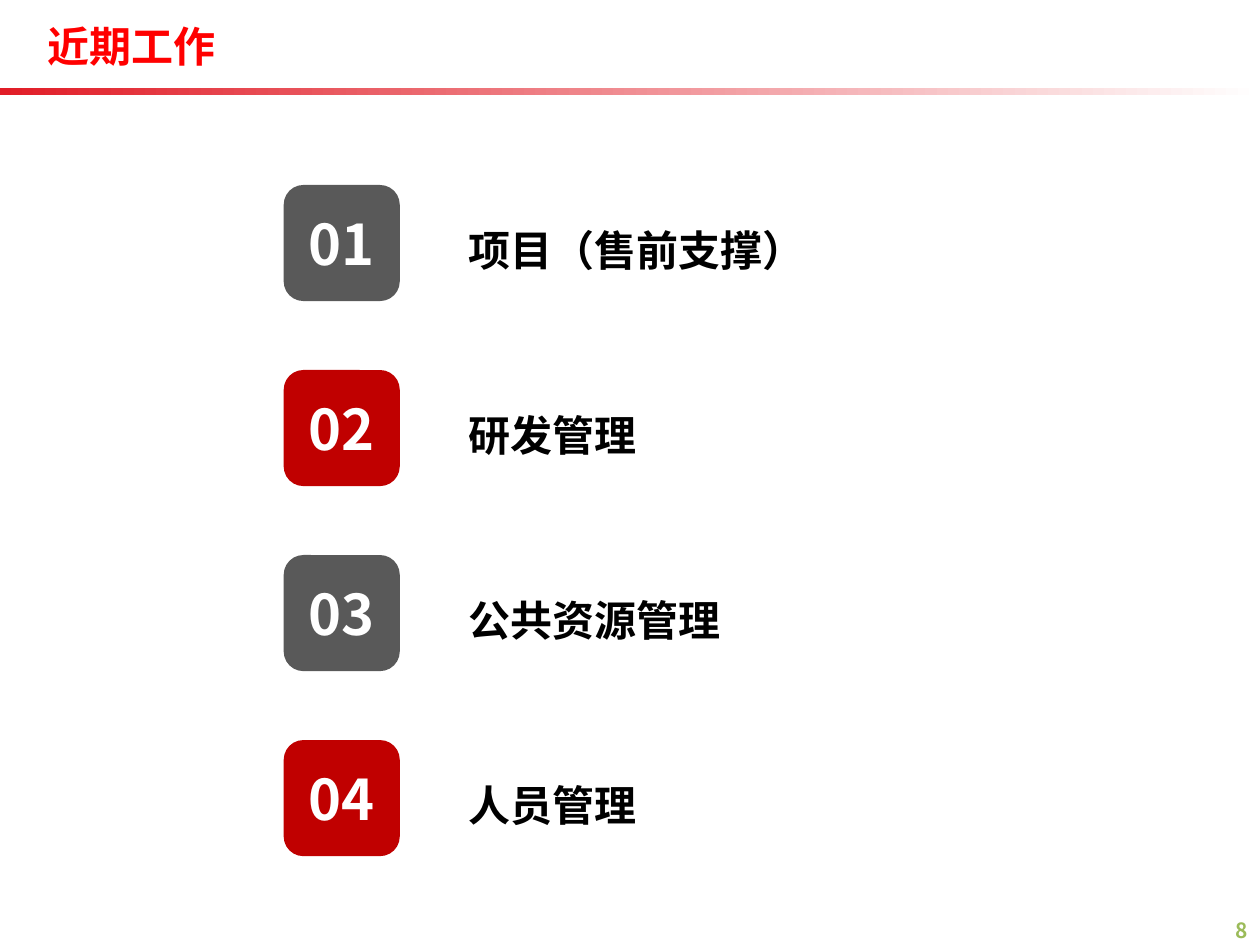
from lxml import etree
from pptx import Presentation
from pptx.dml.color import RGBColor
from pptx.enum.shapes import MSO_SHAPE
from pptx.enum.text import MSO_ANCHOR, MSO_AUTO_SIZE, PP_ALIGN
from pptx.oxml.ns import qn
from pptx.util import Cm, Pt

RECT, ROUNDED = MSO_SHAPE.RECTANGLE, MSO_SHAPE.ROUNDED_RECTANGLE
TOP, MIDDLE = MSO_ANCHOR.TOP, MSO_ANCHOR.MIDDLE
LEFT, CENTER, RIGHT = PP_ALIGN.LEFT, PP_ALIGN.CENTER, PP_ALIGN.RIGHT

FONT = "Noto Sans CJK SC"
RED = RGBColor(0xFF, 0x00, 0x00)
DARK_RED = RGBColor(0xC0, 0x00, 0x00)
RULE_RED = RGBColor(0xE1, 0x1D, 0x27)
GRAY = RGBColor(0x59, 0x59, 0x59)
GREEN = RGBColor(0x9B, 0xBB, 0x59)
BLACK = RGBColor(0, 0, 0)
WHITE = RGBColor(0xFF, 0xFF, 0xFF)

# Content
TITLE = "近期工作"
TOPICS = ["项目（售前支撑）", "研发管理", "公共资源管理", "人员管理"]
PAGE = "8"
BADGE_COLORS = [GRAY, DARK_RED]

# Layout, in cm
SLIDE_W, SLIDE_H = 25.4, 19.05
BADGE_X, BADGE_Y, BADGE = 5.72, 3.73, 2.34
PITCH = 3.73
LABEL_X, LABEL_DY, LABEL_W, LABEL_H = 9.17, 0.36, 14.99, 1.6

# Text formats
TITLE_FMT = {"size": 24, "color": RED, "align": LEFT, "anchor": TOP}
BADGE_FMT = {"size": 32, "color": WHITE, "align": CENTER, "anchor": MIDDLE}
LABEL_FMT = {"size": 24, "color": BLACK, "align": LEFT, "anchor": TOP,
             "spacing": 1.3, "inset": 0.28}
PAGE_FMT = {"size": 12, "color": GREEN, "align": RIGHT, "anchor": TOP}


def write(sp, text, fmt):
    tf = sp.text_frame
    inset = Cm(fmt.get("inset", 0.25))
    frame = {"word_wrap": True, "auto_size": MSO_AUTO_SIZE.NONE,
             "vertical_anchor": fmt["anchor"],
             "margin_left": inset, "margin_right": inset,
             "margin_top": Cm(0.13), "margin_bottom": Cm(0.13)}
    for name, value in frame.items():
        setattr(tf, name, value)
    p = tf.paragraphs[0]
    p.alignment = fmt["align"]
    p.line_spacing = fmt.get("spacing", 1.0)
    r = p.add_run()
    r.text = text
    for name, value in {"name": FONT, "size": Pt(fmt["size"]), "bold": True}.items():
        setattr(r.font, name, value)
    r.font.color.rgb = fmt["color"]
    # Chinese text takes its typeface from a:ea
    etree.SubElement(r.font._element, qn("a:ea"), typeface=FONT)


def add_text(s, box, text, fmt):
    write(s.shapes.add_textbox(*map(Cm, box)), text, fmt)


def add_plain_shape(s, kind, box):
    sp = s.shapes.add_shape(kind, *map(Cm, box))
    sp.shadow.inherit = False
    sp.line.fill.background()
    return sp


prs = Presentation()
prs.slide_width, prs.slide_height = Cm(SLIDE_W), Cm(SLIDE_H)
s = prs.slides.add_slide(prs.slide_layouts[5])

# Title
title = s.shapes.title
title.left, title.top, title.width, title.height = map(Cm, (0.71, 0.28, 15.52, 1.3))
write(title, TITLE, TITLE_FMT)

# Fading rule under the title
rule = add_plain_shape(s, RECT, (0, 1.78, SLIDE_W, 0.14))
rule.fill.gradient()
rule.fill.gradient_angle = 0
for stop, position, color in zip(rule.fill.gradient_stops, (0, 1), (RULE_RED, WHITE)):
    stop.position = position
    stop.color.rgb = color

# Numbered topics
for i, topic in enumerate(TOPICS):
    y = BADGE_Y + i * PITCH
    badge = add_plain_shape(s, ROUNDED, (BADGE_X, y, BADGE, BADGE))
    badge.adjustments[0] = 0.17
    badge.fill.solid()
    badge.fill.fore_color.rgb = BADGE_COLORS[i % len(BADGE_COLORS)]
    write(badge, f"{i + 1:02d}", BADGE_FMT)
    add_text(s, (LABEL_X, y + LABEL_DY, LABEL_W, LABEL_H), topic, LABEL_FMT)

# Page number
add_text(s, (24.31, 18.36, 1.09, 0.86), PAGE, PAGE_FMT)

prs.save("out.pptx")
